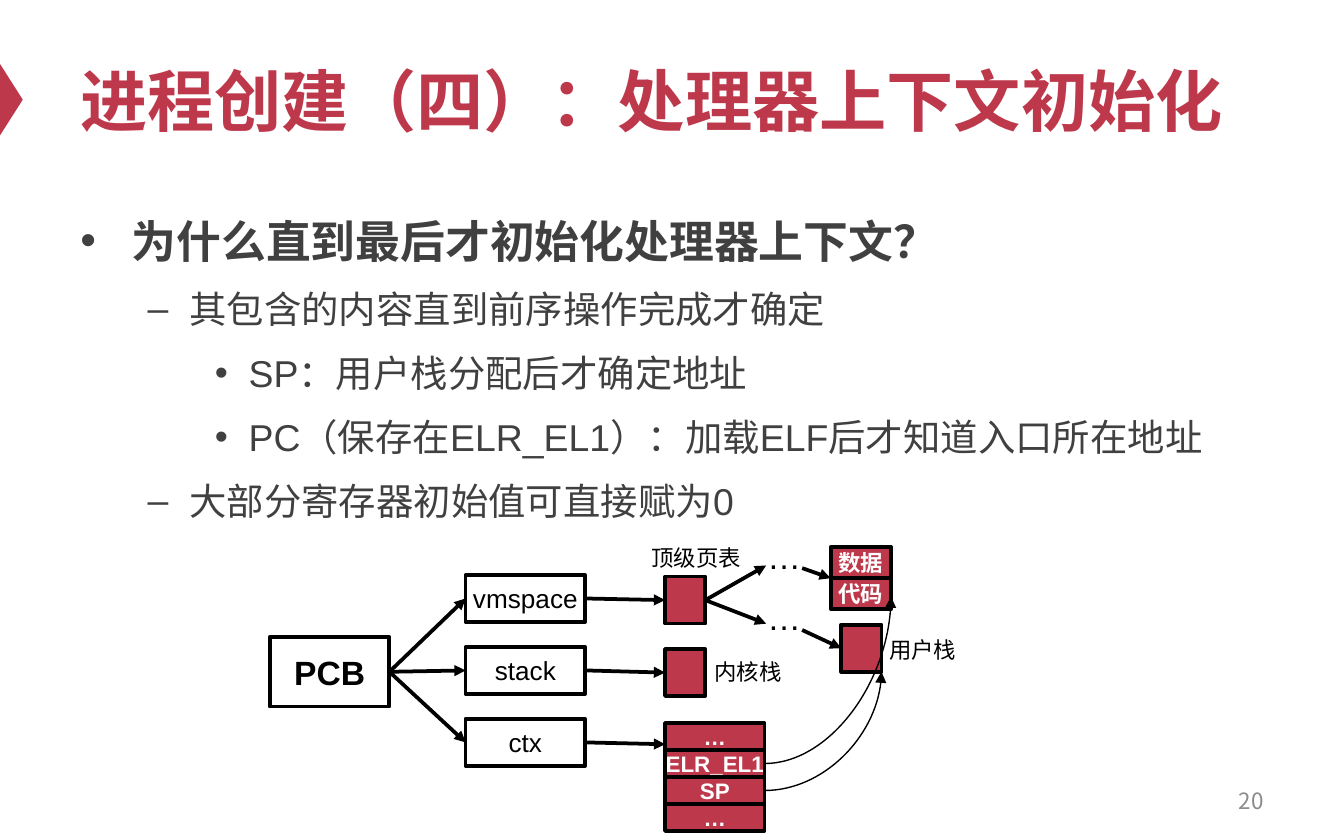
from dataclasses import dataclass

from lxml.etree import SubElement
from pptx import Presentation
from pptx.dml.color import RGBColor as RGB
from pptx.enum.shapes import MSO_CONNECTOR as CONN, MSO_SHAPE as SHAPE
from pptx.enum.text import MSO_ANCHOR as ANCHOR, PP_ALIGN as ALIGN
from pptx.oxml.ns import qn
from pptx.util import Cm, Pt


@dataclass(frozen=True)
class Theme:
    """Colours, fonts and type sizes of the slide."""
    red: RGB = RGB(0xBE, 0x38, 0x4B)
    ink: RGB = RGB(0x40, 0x40, 0x40)
    grey: RGB = RGB(0x8C, 0x8C, 0x8C)
    black: RGB = RGB(0, 0, 0)
    white: RGB = RGB(255, 255, 255)
    font: str = "Arial"
    number_font: str = "Noto Sans CJK SC"
    title: int = 36
    lead: int = 24
    body: int = 20
    node: int = 18
    field: int = 14
    small: int = 12


T = Theme()
LEVELS = [("•", 0.97, 0.97), ("–", 2.06, 0.79), ("•", 3.18, 0.64)]
POINTS = [
    (0, "为什么直到最后才初始化处理器上下文？"),
    (1, "其包含的内容直到前序操作完成才确定"),
    (2, "SP：用户栈分配后才确定地址"),
    (2, "PC（保存在ELR_EL1）：加载ELF后才知道入口所在地址"),
    (1, "大部分寄存器初始值可直接赋为0"),
]


def add_run(p, text, size, color, bold=False, font=T.font):
    """Append one styled run to a paragraph."""
    r = p.add_run()
    r.text = text
    r.font.size, r.font.bold, r.font.name = Pt(size), bold, font
    r.font.color.rgb = color
    SubElement(r.font._element, qn("a:ea")).set("typeface", font)


def add_text(s, x, y, w, h, anchor=ANCHOR.TOP):
    """Add a wrapping text box and return its text frame."""
    tf = s.shapes.add_textbox(Cm(x), Cm(y), Cm(w), Cm(h)).text_frame
    tf.word_wrap, tf.vertical_anchor = True, anchor
    return tf


def add_label(s, cx, cy, text, size=T.small):
    """Add a centred label around a point."""
    w, h = 2.2, 0.76
    p = add_text(s, cx - w / 2, cy - h / 2, w, h, ANCHOR.MIDDLE).paragraphs[0]
    p.alignment = ALIGN.CENTER
    add_run(p, text, size, T.black)


def add_box(s, x, y, w, h, text="", size=T.small, bold=False, filled=False):
    """Add an outlined rectangle with centred text."""
    sp = s.shapes.add_shape(SHAPE.RECTANGLE, Cm(x), Cm(y), Cm(w), Cm(h))
    sp.shadow.inherit = False
    sp.line.color.rgb, sp.line.width = T.black, Pt(2)
    if filled:
        sp.fill.solid()
        sp.fill.fore_color.rgb = T.red
    else:
        sp.fill.background()
    if text:
        tf = sp.text_frame
        tf.margin_left = tf.margin_right = tf.margin_top = tf.margin_bottom = 0
        tf.word_wrap, tf.vertical_anchor = False, ANCHOR.MIDDLE
        tf.paragraphs[0].alignment = ALIGN.CENTER
        add_run(tf.paragraphs[0], text, size, T.white if filled else T.black, bold)
    return sp


def add_stack(s, x, y, w, row_h, names):
    """Add a column of touching filled cells."""
    return [add_box(s, x, y + i * row_h, w, row_h, name, bold=True, filled=True)
            for i, name in enumerate(names)]


def add_arrow(s, start, end, curved=False):
    """Add an arrow between points in cm or between box sides."""
    kind = CONN.CURVE if curved else CONN.STRAIGHT
    coords = [Cm(v) if isinstance(v, (int, float)) else 0 for v in (*start, *end)]
    c = s.shapes.add_connector(kind, *coords)
    if not isinstance(start[0], (int, float)):
        c.begin_connect(*start)
    if not isinstance(end[0], (int, float)):
        c.end_connect(*end)
    c.line.color.rgb, c.line.width = T.black, Pt(0.75 if curved else 2)
    SubElement(c.line._get_or_add_ln(), qn("a:tailEnd")).set("type", "triangle")
    sppr = c._element.spPr
    SubElement(sppr, qn("a:effectLst"))
    if curved:
        sppr.find(qn("a:prstGeom")).set("prst", "curvedConnector2")


def add_title(s, x, y, w, h):
    """Place the edge marker and the slide title."""
    mw, mh = 1.35, 0.43
    sp = s.shapes.add_shape(SHAPE.ISOSCELES_TRIANGLE, Cm((mh - mw) / 2),
                            Cm(y + h / 2 - mh / 2), Cm(mw), Cm(mh))
    sp.rotation = 90
    sp.shadow.inherit = False
    sp.fill.solid()
    sp.fill.fore_color.rgb = T.red
    sp.line.fill.background()
    tf = add_text(s, x, y, w, h, ANCHOR.MIDDLE)
    add_run(tf.paragraphs[0], "进程创建（四）：处理器上下文初始化", T.title, T.red, True)


def add_points(s, x, y, w, h):
    """Place the bulleted outline."""
    tf = add_text(s, x, y, w, h)
    for i, (level, text) in enumerate(POINTS):
        p = tf.paragraphs[0] if i == 0 else tf.add_paragraph()
        char, left, hang = LEVELS[level]
        p.level, p.line_spacing = level, 1.2
        p.space_before = Pt(5.5 if i else 0)
        ppr = p._p.get_or_add_pPr()
        ppr.set("marL", str(Cm(left)))
        ppr.set("indent", str(-Cm(hang)))
        SubElement(ppr, qn("a:buFont")).set("typeface", T.font)
        SubElement(ppr, qn("a:buChar")).set("char", char)
        add_run(p, text, T.body if level else T.lead, T.ink, level == 0)


def add_diagram(s, x, y):
    """Draw the PCB, its fields and the memory they refer to."""
    w, h, side = 2.26, 0.89, 0.76
    pcb = add_box(s, x, y + 2.04, w, 1.32, "PCB", T.node, True)
    fields = [add_box(s, x + 3.7, y + 0.87 + 1.36 * i, w, h, name, T.field)
              for i, name in enumerate(("vmspace", "stack", "ctx"))]
    table, kernel = [add_box(s, x + 7.47, y + 0.9 + 1.37 * i, side, h, filled=True)
                     for i in range(2)]
    regs = add_stack(s, x + 7.47, y + 3.67, 1.88, 0.51, ("…", "ELR_EL1", "SP", "…"))
    add_stack(s, x + 10.6, y + 0.34, 1.14, 0.59, ("数据", "代码"))
    user = add_box(s, x + 10.8, y + 1.81, side, h, filled=True)

    for cx, cy, text in ((8.06, 0.55, "顶级页表"), (9.04, 2.7, "内核栈"),
                         (12.34, 2.29, "用户栈")):
        add_label(s, x + cx, y + cy, text)
    for cy in (0.52, 1.66):
        add_label(s, x + 9.72, y + cy, "…", T.node)

    for field, end in zip(fields, ((table, 1), (kernel, 1), (x + 7.47, y + 4.07))):
        add_arrow(s, (pcb, 3), (field, 1))
        add_arrow(s, (field, 3), end)
    for cy in (0.69, 1.79):
        add_arrow(s, (table, 3), (x + 9.38, y + cy))
    add_arrow(s, (x + 10.06, y + 0.74), (x + 10.6, y + 0.93))
    add_arrow(s, (x + 10.06, y + 1.91), (user, 1))
    for reg, ex, ey in ((regs[1], 11.74, 1.28), (regs[2], 11.56, 2.7)):
        start = [v / Cm(1) for v in (reg.left + reg.width, reg.top + reg.height / 2)]
        add_arrow(s, start, (x + ex, y + ey), True)


def add_number(s, x, y, w, h):
    """Place the page number."""
    p = add_text(s, x, y, w, h, ANCHOR.MIDDLE).paragraphs[0]
    p.alignment = ALIGN.RIGHT
    add_run(p, "20", T.small, T.grey, font=T.number_font)


def main():
    """Build and save the slide."""
    prs = Presentation()
    prs.slide_width, prs.slide_height = Cm(25.4), Cm(15.88)
    s = prs.slides.add_slide(prs.slide_layouts[6])
    add_title(s, 1.27, 0.64, 22.86, 2.49)
    add_points(s, 1.27, 3.71, 22.86, 10.46)
    add_number(s, 18.21, 14.71, 5.92, 0.84)
    add_diagram(s, 5.1, 10)
    prs.save("out.pptx")


if __name__ == "__main__":
    main()
